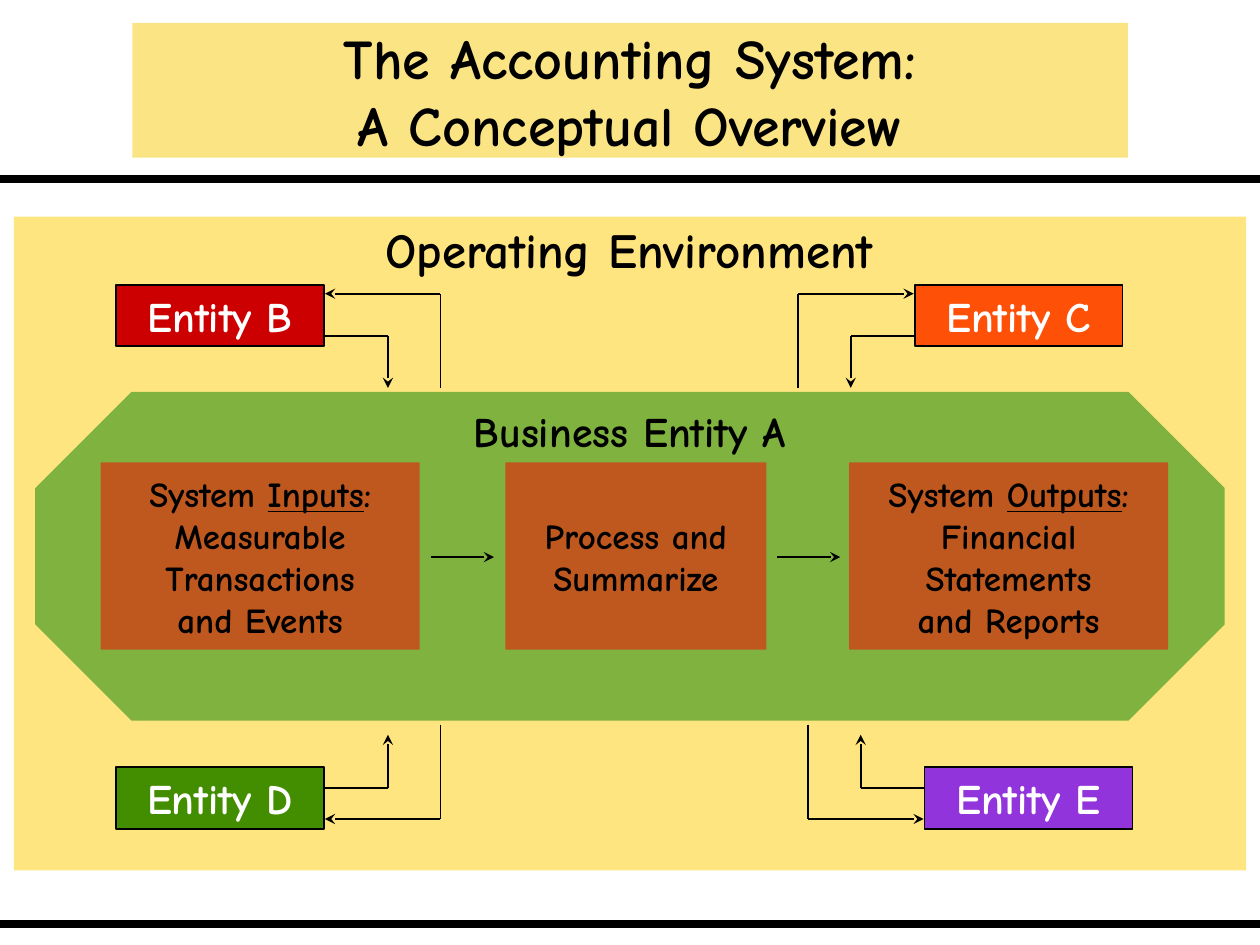
from lxml import etree
from pptx import Presentation
from pptx.dml.color import RGBColor
from pptx.enum.shapes import MSO_CONNECTOR, MSO_SHAPE
from pptx.enum.text import MSO_ANCHOR, PP_ALIGN
from pptx.oxml.ns import qn
from pptx.util import Cm, Pt

RECTANGLE = MSO_SHAPE.RECTANGLE
OCTAGON = MSO_SHAPE.OCTAGON
STRAIGHT = MSO_CONNECTOR.STRAIGHT
MIDDLE = MSO_ANCHOR.MIDDLE
CENTER = PP_ALIGN.CENTER

FONT = "Comic Neue"
BLACK = RGBColor(0x00, 0x00, 0x00)
WHITE = RGBColor(0xFF, 0xFF, 0xFF)
YELLOW = RGBColor(0xFF, 0xCC, 0x00)
GOLD = RGBColor(0xF8, 0xCB, 0x0A)
GREEN = RGBColor(0x00, 0x80, 0x00)
RED = RGBColor(0xFF, 0x00, 0x00)
CRIMSON = RGBColor(0xCC, 0x00, 0x00)
ORANGE = RGBColor(0xFF, 0x50, 0x08)
LEAF = RGBColor(0x43, 0x8E, 0x00)
PURPLE = RGBColor(0x92, 0x34, 0xDB)

presentation = Presentation()
presentation.slide_width = Cm(25.4)
presentation.slide_height = Cm(19.05)
slide = presentation.slides.add_slide(presentation.slide_layouts[6])


def add_box(text, left, top, width, height, *, kind=RECTANGLE, fill=None, solid=False,
            size=20, color=BLACK, underlined=None):
    position = Cm(left), Cm(top), Cm(width), Cm(height)
    if fill is None:
        shape = slide.shapes.add_textbox(*position)
    else:
        shape = slide.shapes.add_shape(kind, *position)
        shape.shadow.inherit = False
        shape.fill.solid()
        shape.fill.fore_color.rgb = fill
        if solid:
            shape.line.color.rgb = BLACK
            shape.line.width = Pt(1)
        else:
            shape.line.fill.background()
            fill_color = shape._element.spPr.find(qn("a:solidFill"))[0]
            etree.SubElement(fill_color, qn("a:alpha"), val="50000")
    if not text:
        return shape
    frame = shape.text_frame
    frame.word_wrap = fill is None
    frame.vertical_anchor = MIDDLE
    for index, line in enumerate(text.split("\n")):
        paragraph = frame.add_paragraph() if index else frame.paragraphs[0]
        paragraph.alignment = CENTER
        parts = line.partition(underlined) if underlined else [line]
        for part in filter(None, parts):
            run = paragraph.add_run()
            run.text = part
            run.font.name = FONT
            run.font.size = Pt(size)
            run.font.bold = True
            run.font.color.rgb = color
            if part == underlined:
                run.font.underline = True
    return shape


def add_line(start_x, start_y, end_x, end_y, *, width=1, arrow=False):
    connector = slide.shapes.add_connector(
        STRAIGHT, Cm(start_x), Cm(start_y), Cm(end_x), Cm(end_y))
    connector.line.color.rgb = BLACK
    connector.line.width = Pt(width)
    properties = connector._element.spPr
    if arrow:
        etree.SubElement(properties.find(qn("a:ln")), qn("a:tailEnd"), type="stealth")
    etree.SubElement(properties, qn("a:effectLst"))


add_box("", 0.28, 4.37, 24.84, 13.18, fill=YELLOW)
add_box("Operating Environment", 6.55, 4.29, 12.27, 1.45, size=28)
add_box("The Accounting System:\nA Conceptual Overview", 2.67, 0.46, 20.07, 2.72,
        fill=GOLD, size=32)
for rule_y in (3.61, 18.62):
    add_line(0, rule_y, 25.4, rule_y, width=4.5)

business = add_box("", 0.71, 7.9, 23.98, 6.63, kind=OCTAGON, fill=GREEN)
business.adjustments[0] = 0.293
add_box("Business Entity A", 7.62, 8.05, 10.16, 1.27, size=24)

stages = [
    ("System Inputs:\nMeasurable\nTransactions\nand Events", 2.03, 6.43, "Inputs"),
    ("Process and\nSummarize", 10.19, 5.26, None),
    ("System Outputs:\nFinancial\nStatements\nand Reports", 17.12, 6.43, "Outputs"),
]
for text, left, width, underlined in stages:
    add_box(text, left, 9.32, width, 3.78, fill=RED, underlined=underlined)
for arrow_x in (8.69, 15.67):
    add_line(arrow_x, 11.23, arrow_x + 1.27, 11.23, arrow=True)

UPPER = (5.74, 7.82, 5.92, 6.78, 7.82)
LOWER = (15.47, 14.61, 16.51, 15.88, 14.81)
entities = [
    ("Entity B", CRIMSON, 2.34, 6.55, 1, UPPER),
    ("Entity C", ORANGE, 18.44, 18.42, -1, UPPER),
    ("Entity D", LEAF, 2.34, 6.55, 1, LOWER),
    ("Entity E", PURPLE, 18.64, 18.62, -1, LOWER),
]
for name, fill, left, edge_x, direction, levels in entities:
    top, start_y, outgoing_y, incoming_y, tip_y = levels
    near_x = edge_x + direction * 1.27
    far_x = edge_x + direction * 2.33
    add_box(name, left, top, 4.19, 1.24, fill=fill, solid=True, size=24, color=WHITE)
    add_line(far_x, start_y, far_x, outgoing_y)
    add_line(far_x, outgoing_y, edge_x, outgoing_y, arrow=True)
    add_line(edge_x, incoming_y, near_x, incoming_y)
    add_line(near_x, incoming_y, near_x, tip_y, arrow=True)

presentation.save("out.pptx")
